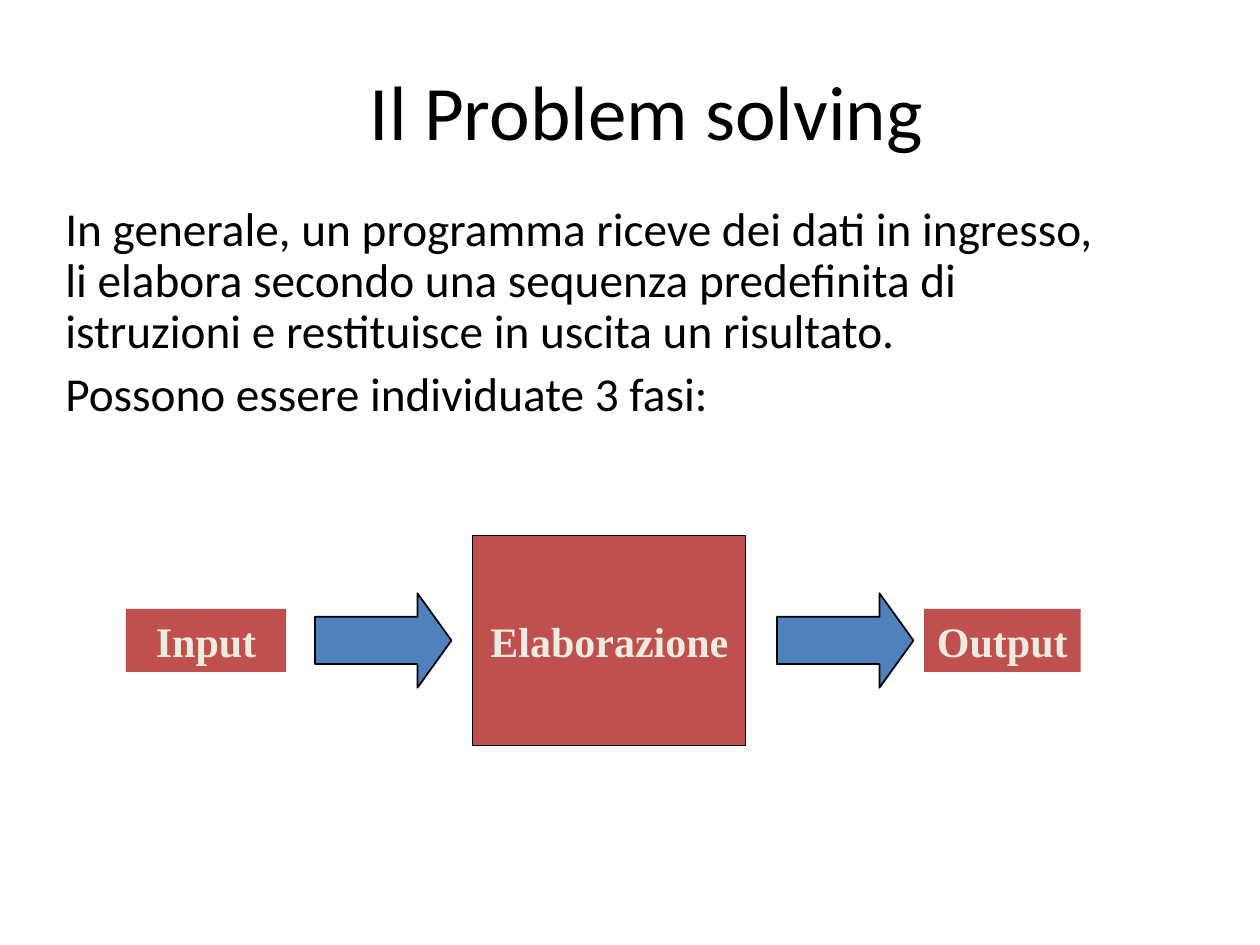
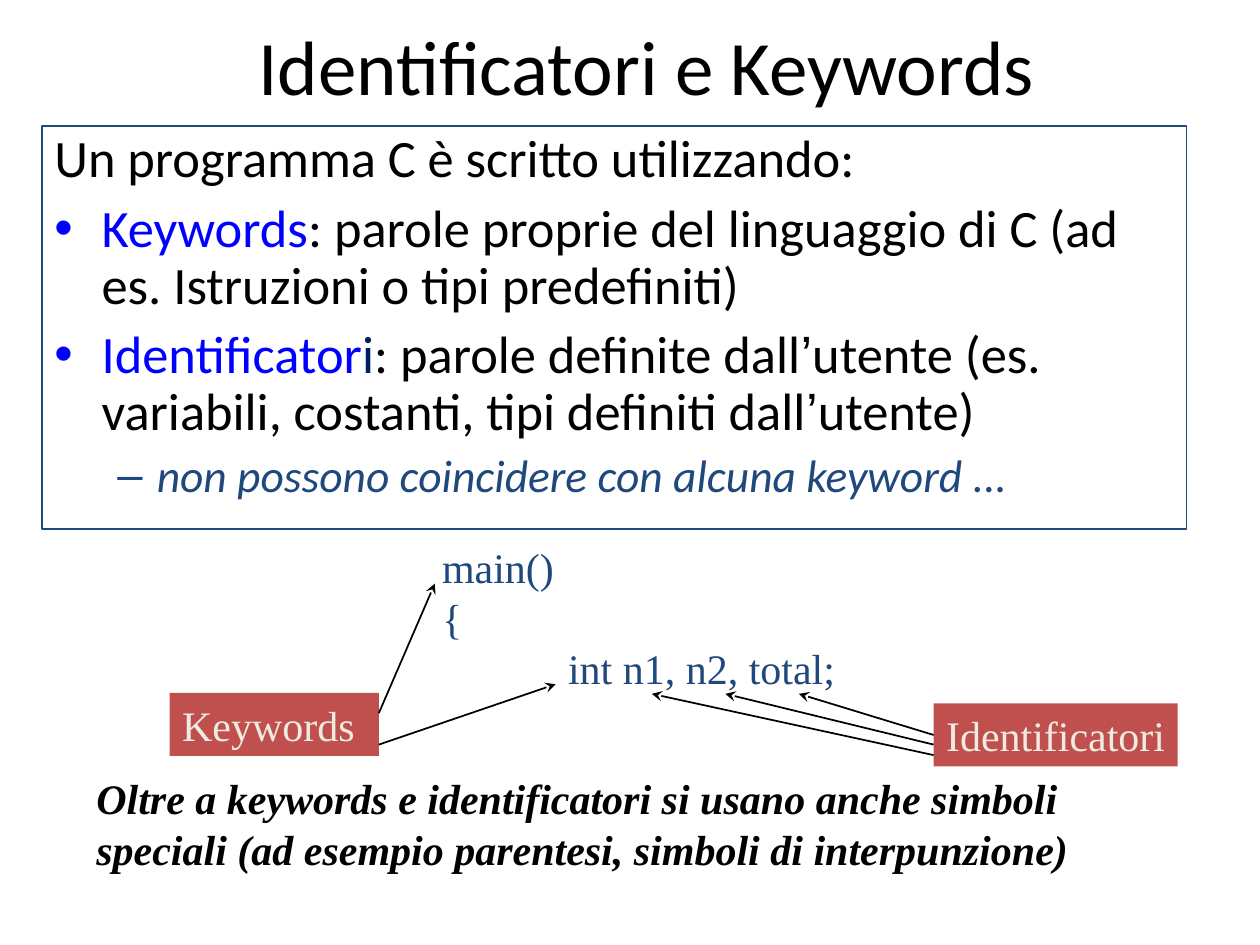
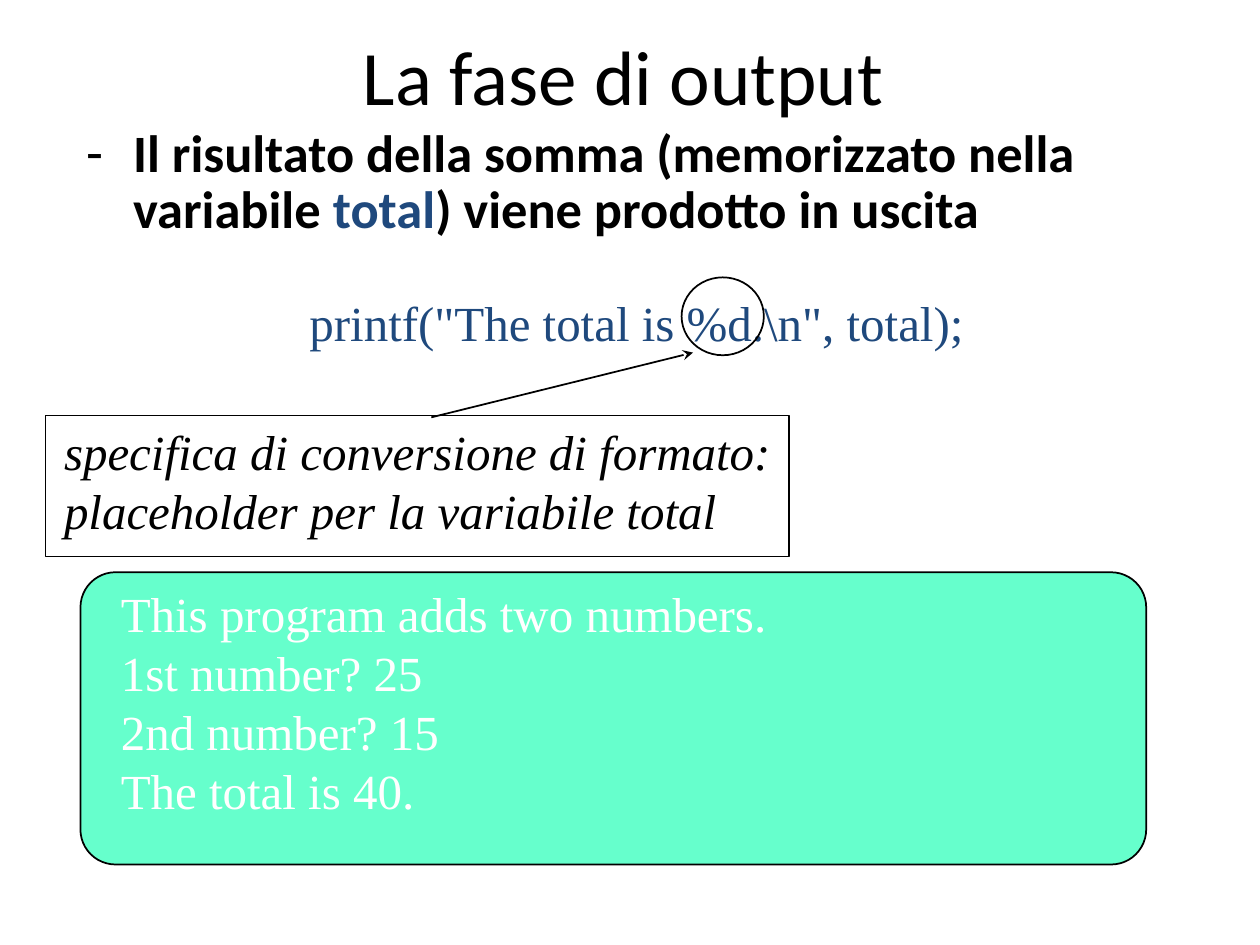
from dataclasses import dataclass, replace
from typing import Any, Optional

from lxml import etree
from pptx import Presentation
from pptx.dml.color import RGBColor
from pptx.enum.shapes import MSO_CONNECTOR, MSO_SHAPE
from pptx.enum.text import MSO_ANCHOR, MSO_AUTO_SIZE, PP_ALIGN
from pptx.oxml.ns import qn
from pptx.util import Pt

RECTANGLE = MSO_SHAPE.RECTANGLE
ROUNDED = MSO_SHAPE.ROUNDED_RECTANGLE
ARROW = MSO_SHAPE.RIGHT_ARROW
ELLIPSE = MSO_SHAPE.OVAL
STRAIGHT = MSO_CONNECTOR.STRAIGHT
TOP, MIDDLE = MSO_ANCHOR.TOP, MSO_ANCHOR.MIDDLE
LEFT, CENTER = PP_ALIGN.LEFT, PP_ALIGN.CENTER
NO_FIT = MSO_AUTO_SIZE.NONE
LEFT_SIDE = 1
TITLE_ONLY = 5

# Shared colours and fonts
BLACK, WHITE, CREAM = "000000", "FFFFFF", "EEECE1"
RED, STEEL, NAVY = "C0504D", "4F81BD", "1F497D"
BLUE, DARK_BLUE, MINT = "0000FF", "002060", "66FFCC"
SANS, SERIF, SYMBOL = "Calibri", "Times New Roman", "Arial"
HANGING = 27


@dataclass(frozen=True)
class Style:
    size: float
    color: str = BLACK
    name: str = SANS
    bold: bool = False
    italic: bool = False


@dataclass(frozen=True)
class Span:
    text: str
    color: Optional[str] = None
    name: Optional[str] = None


@dataclass(frozen=True)
class Para:
    spans: tuple[Span, ...]
    style: Style
    align: Any = LEFT
    space_before: float = 0
    line_spacing: float = 1.0
    margin: float = 0
    indent: float = 0
    bullet: str = ""
    bullet_color: str = BLACK
    tab: float = 0
    level: int = 0


@dataclass(frozen=True)
class Box:
    frame: tuple[float, float, float, float]
    paras: tuple[Para, ...] = ()
    kind: Any = None
    fill: Optional[str] = None
    line: Optional[str] = None
    wrap: bool = True
    adjustments: tuple[float, ...] = ()


@dataclass(frozen=True)
class Pointer:
    start: tuple[float, float]
    end: tuple[float, float]


def rgb(value: str) -> RGBColor:
    return RGBColor.from_string(value)


def set_values(target: Any, values: dict[str, Any]) -> None:
    for name, value in values.items():
        setattr(target, name, value)


def add_bullet(properties: Any, para: Para) -> None:
    color = etree.SubElement(properties, qn("a:buClr"))
    etree.SubElement(color, qn("a:srgbClr"), val=para.bullet_color)
    etree.SubElement(properties, qn("a:buFont"), typeface=SYMBOL)
    etree.SubElement(properties, qn("a:buChar"), char=para.bullet)


def write_paragraph(paragraph: Any, para: Para) -> None:
    properties = paragraph._p.get_or_add_pPr()
    if para.margin:
        properties.set("marL", str(Pt(para.margin)))
        properties.set("indent", str(Pt(para.indent)))
    if para.bullet:
        add_bullet(properties, para)
    if para.tab:
        stops = etree.SubElement(properties, qn("a:tabLst"))
        etree.SubElement(stops, qn("a:tab"), pos=str(Pt(para.tab)), algn="l")
    set_values(paragraph, {
        "alignment": para.align,
        "level": para.level,
        "line_spacing": para.line_spacing,
        "space_before": Pt(para.space_before),
    })
    for span in para.spans:
        run = paragraph.add_run()
        run.text = span.text
        style = para.style
        set_values(run.font, {
            "name": span.name or style.name,
            "size": Pt(style.size),
            "bold": style.bold,
            "italic": style.italic,
        })
        run.font.color.rgb = rgb(span.color or style.color)


def write_text(shape: Any, paras: tuple[Para, ...], anchor: Any, wrap: bool) -> None:
    frame = shape.text_frame
    set_values(frame, {"word_wrap": wrap, "auto_size": NO_FIT, "vertical_anchor": anchor})
    for index, para in enumerate(paras):
        paragraph = frame.add_paragraph() if index else frame.paragraphs[0]
        write_paragraph(paragraph, para)


def add_box(shapes: Any, box: Box) -> Any:
    frame = [Pt(length) for length in box.frame]
    if box.kind is None:
        shape = shapes.add_textbox(*frame)
    else:
        shape = shapes.add_shape(box.kind, *frame)
        shape.shadow.inherit = False
        for index, value in enumerate(box.adjustments):
            shape.adjustments[index] = value
        if box.fill:
            shape.fill.solid()
            shape.fill.fore_color.rgb = rgb(box.fill)
        else:
            shape.fill.background()
        if box.line:
            shape.line.color.rgb = rgb(box.line)
            shape.line.width = Pt(1)
        else:
            shape.line.fill.background()
    if box.paras:
        write_text(shape, box.paras, TOP, box.wrap)
    return shape


def add_pointer(page: Any, pointer: Pointer) -> Any:
    ends = [Pt(length) for length in pointer.start + pointer.end]
    connector = page.shapes.add_connector(STRAIGHT, *ends)
    connector.line.color.rgb = rgb(BLACK)
    connector.line.width = Pt(1)
    etree.SubElement(connector.line._get_or_add_ln(), qn("a:tailEnd"), type="stealth")
    etree.SubElement(connector._element.spPr, qn("a:effectLst"))
    return connector


def add_page(deck: Any, title: str, frame: tuple[float, float, float, float]) -> Any:
    page = deck.slides.add_slide(deck.slide_layouts[TITLE_ONLY])
    heading = page.shapes.title
    left, top, width, height = (Pt(length) for length in frame)
    set_values(heading, {"left": left, "top": top, "width": width, "height": height})
    write_text(heading, (Para((Span(title),), Style(44), CENTER),), MIDDLE, True)
    return page


def lines(style: Style, *texts: str) -> tuple[Para, ...]:
    return tuple(Para((Span(text),), style) for text in texts)


def label(text: str, left: float, top: float, width: float,
          bold: bool = False, align: Any = CENTER) -> Box:
    para = Para((Span(text),), Style(24, CREAM, SERIF, bold), align)
    return Box((left, top, width, 36), (para,), RECTANGLE, RED, wrap=False)


def build_problem_solving(deck: Any) -> None:
    page = add_page(deck, "Il Problem solving", (92, 31, 555, 63.5))
    intro, phases = lines(
        Style(27),
        "In generale, un programma riceve dei dati in ingresso, li elabora secondo una "
        "sequenza predefinita di istruzioni e restituisce in uscita un risultato.",
        "Possono essere individuate 3 fasi:",
    )
    add_box(page.shapes, Box((30.25, 114, 618.5, 148), (
        replace(intro, line_spacing=0.9),
        replace(phases, line_spacing=0.9, space_before=6.8),
    )))

    # Flow from input to output
    add_box(page.shapes, label("Input", 72, 348, 91.5, bold=True))
    process = page.shapes.add_group_shape()
    add_box(process.shapes, Box((270, 306, 156, 120), kind=RECTANGLE, fill=RED, line=BLACK))
    add_box(process.shapes, label("Elaborazione", 273, 348, 150.5, bold=True))
    add_box(page.shapes, label("Output", 528, 348, 89.5, bold=True))
    for left in (180, 444):
        add_box(page.shapes, Box((left, 339, 78, 54), kind=ARROW, fill=STEEL, line=BLACK,
                                 adjustments=(0.5, 0.36)))


def build_identifiers(deck: Any) -> None:
    page = add_page(deck, "Identificatori e Keywords", (92, 6, 555, 62.5))

    # Framed definitions
    opening = Para((Span("Un programma C è scritto utilizzando:"),), Style(30),
                   line_spacing=0.9, margin=HANGING, indent=-HANGING)
    item = replace(opening, space_before=7.5, bullet="•", bullet_color=BLUE)
    apostrophe = Span("’", name=SYMBOL)
    keywords = replace(item, spans=(
        Span("Keywords", BLUE),
        Span(": parole proprie del linguaggio di C (ad es. Istruzioni o tipi predefiniti)"),
    ))
    identifiers = replace(item, spans=(
        Span("Identificator", BLUE), Span("i", DARK_BLUE),
        Span(": parole definite dall"), apostrophe,
        Span("utente (es. variabili, costanti, tipi definiti dall"), apostrophe,
        Span("utente)"),
    ))
    warning = replace(
        item, spans=(Span("non possono coincidere con alcuna keyword ..."),),
        style=Style(26, NAVY, italic=True), space_before=6.5, margin=58.5, indent=-22.5,
        bullet="–", bullet_color=NAVY, level=1)
    add_box(page.shapes, Box((24, 72, 654, 230.5), (opening, keywords, identifiers, warning),
                             RECTANGLE, line=NAVY))

    # Code sample with its labels
    code = lines(Style(24, NAVY, SERIF), "main()", "{", "\tint n1, n2, total;")
    add_box(page.shapes, Box((245.5, 306, 239, 93.5),
                             tuple(replace(para, tab=72) for para in code), wrap=False))
    add_box(page.shapes, label("Keywords", 97, 396, 119.5, align=LEFT))
    names = add_box(page.shapes, label("Identificatori", 533.5, 402, 139.5))
    for pointer in (
        Pointer((216.5, 425.5), (317.5, 391)),
        Pointer((216.5, 407.5), (248.5, 333.5)),
        Pointer((533.5, 431.5), (372.5, 396.5)),
        Pointer((533.5, 425.5), (414.5, 396.5)),
    ):
        add_pointer(page, pointer)
    total_pointer = add_pointer(page, Pointer((533.5, 420), (456.5, 396.5)))
    total_pointer.begin_connect(names, LEFT_SIDE)

    # Closing remark
    add_box(page.shapes, Box((48, 438, 600, 65), lines(
        Style(24, BLACK, SERIF, bold=True, italic=True),
        "Oltre a keywords e identificatori si usano anche simboli speciali "
        "(ad esempio parentesi, simboli di interpunzione)",
    )))


def build_output_phase(deck: Any) -> None:
    page = add_page(deck, "La fase di output", (166.5, 11, 379.5, 63.5))
    result = Para((
        Span("Il risultato della somma (memorizzato nella variabile "),
        Span("total", NAVY),
        Span(") viene prodotto in uscita"),
    ), Style(30, bold=True), line_spacing=0.9, margin=HANGING, indent=-HANGING, bullet="-")
    statement = Para((Span('printf("The total is %d.\\n", total);'),),
                     Style(28, NAVY, SERIF), CENTER)
    console = lines(Style(28, WHITE, SERIF), "This program adds two numbers.",
                    "1st number? 25", "2nd number? 15", "The total is 40.")
    explanation = lines(
        Style(28, BLACK, SERIF, italic=True),
        "specifica di conversione di formato: placeholder per la variabile total")

    # Statement, console output and explanation
    for box in (
        Box((42, 69, 643.5, 74), (result,)),
        Box((46, 327, 609, 167), kind=ROUNDED, fill=MINT, line=BLACK, adjustments=(0.12,)),
        Box((62, 330, 390, 136), console, wrap=False),
        Box((42, 163.5, 643.5, 39.5), (statement,)),
        Box((26, 237.5, 425, 80.5), kind=RECTANGLE, line=BLACK),
        Box((29.5, 237.5, 469.5, 75), explanation),
        Box((389.5, 158.5, 47, 44.5), kind=ELLIPSE, line=BLACK),
    ):
        add_box(page.shapes, box)
    add_pointer(page, Pointer((246.5, 238.5), (396, 201.5)))


def main() -> None:
    deck = Presentation()
    deck.slide_width, deck.slide_height = Pt(720), Pt(540)
    build_problem_solving(deck)
    build_identifiers(deck)
    build_output_phase(deck)
    deck.save("out.pptx")


if __name__ == "__main__":
    main()
